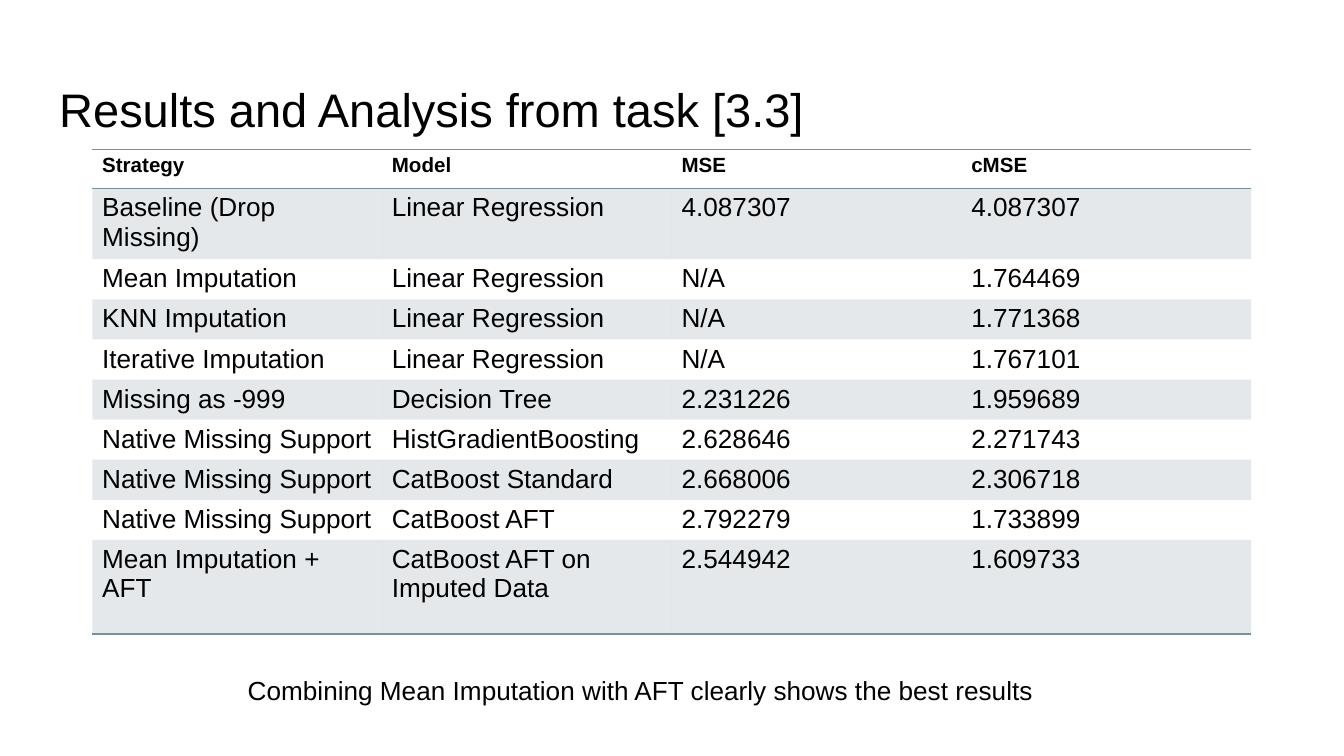
import pptx
import pptx.dml.color
import pptx.enum.text
import pptx.oxml
import pptx.oxml.ns
import pptx.util
from lxml import etree

Pt = pptx.util.Pt
qn = pptx.oxml.ns.qn
Align = pptx.enum.text.PP_ALIGN
Anchor = pptx.enum.text.MSO_ANCHOR

SLATE = "78909C"
NO_STYLE = "{2D5ABB26-0587-4C30-8999-92F81FD0307C}"


def paint(color_owner, hex_color):
    color_owner.rgb = pptx.dml.color.RGBColor.from_string(hex_color)


def write(frame, text, size=14, bold=False, align=Align.LEFT, color="000000"):
    frame.word_wrap = True
    paragraph = frame.paragraphs[0]
    paragraph.alignment = align
    run = paragraph.add_run()
    run.text = text
    run.font.name = "Arial"
    run.font.size = Pt(size)
    run.font.bold = bold
    paint(run.font.color, color)


deck = pptx.Presentation()
deck.slide_width, deck.slide_height = Pt(720), Pt(405)
slide = deck.slides.add_slide(deck.slide_layouts[5])

title = slide.shapes.title
title.left, title.top, title.width, title.height = Pt(24.5), Pt(35), Pt(671), Pt(45.5)
heading = title.text_frame
heading.margin_left = heading.margin_right = Pt(7.2)
heading.margin_top = heading.margin_bottom = Pt(7.2)
heading.vertical_anchor = Anchor.BOTTOM
write(heading, "Results and Analysis from task [3.3]", size=25.2)

results = [
    ("Strategy", "Model", "MSE", "cMSE"),
    ("Baseline (Drop Missing)", "Linear Regression", "4.087307", "4.087307"),
    ("Mean Imputation", "Linear Regression", "N/A", "1.764469"),
    ("KNN Imputation", "Linear Regression", "N/A", "1.771368"),
    ("Iterative Imputation", "Linear Regression", "N/A", "1.767101"),
    ("Missing as -999", "Decision Tree", "2.231226", "1.959689"),
    ("Native Missing Support", "HistGradientBoosting", "2.628646", "2.271743"),
    ("Native Missing Support", "CatBoost Standard", "2.668006", "2.306718"),
    ("Native Missing Support", "CatBoost AFT", "2.792279", "1.733899"),
    ("Mean Imputation + AFT", "CatBoost AFT on Imputed Data", "2.544942", "1.609733"),
]
row_heights = [20.9, 38] + [21.5] * 7 + [50.5]
last = len(results) - 1

table = slide.shapes.add_table(
    len(results), 4, Pt(49.5), Pt(80), Pt(620.8), Pt(sum(row_heights))
).table
table.horz_banding = False
table._tbl.tblPr.find(qn("a:tableStyleId")).text = NO_STYLE
for column in table.columns:
    column.width = Pt(155.2)

for r, (values, height) in enumerate(zip(results, row_heights)):
    table.rows[r].height = Pt(height)
    borders = {0: ("a:lnT", "a:lnB"), last: ("a:lnB",)}.get(r, ())
    for c, value in enumerate(values):
        cell = table.cell(r, c)
        cell.margin_left = cell.margin_right = Pt(5.25)
        cell.margin_top = cell.margin_bottom = Pt(2.6)
        write(cell.text_frame, value, size=14 if r else 11, bold=r == 0)

        # Border elements must come before the fill
        properties = cell._tc.get_or_add_tcPr()
        for side in borders:
            line = etree.SubElement(properties, qn(side), w=str(Pt(1)))
            solid = etree.SubElement(line, qn("a:solidFill"))
            etree.SubElement(solid, qn("a:srgbClr"), val=SLATE)
        if r % 2:
            cell.fill.solid()
            paint(cell.fill.fore_color, SLATE)
            tint = properties.find(qn("a:solidFill")).find(qn("a:srgbClr"))
            etree.SubElement(tint, qn("a:alpha"), val="20000")
        else:
            cell.fill.background()

conclusion = slide.shapes.add_textbox(Pt(16), Pt(358), Pt(654.5), Pt(24.5))
write(
    conclusion.text_frame,
    "Combining Mean Imputation with AFT clearly shows the best results",
    align=Align.CENTER,
)

deck.save("out.pptx")
